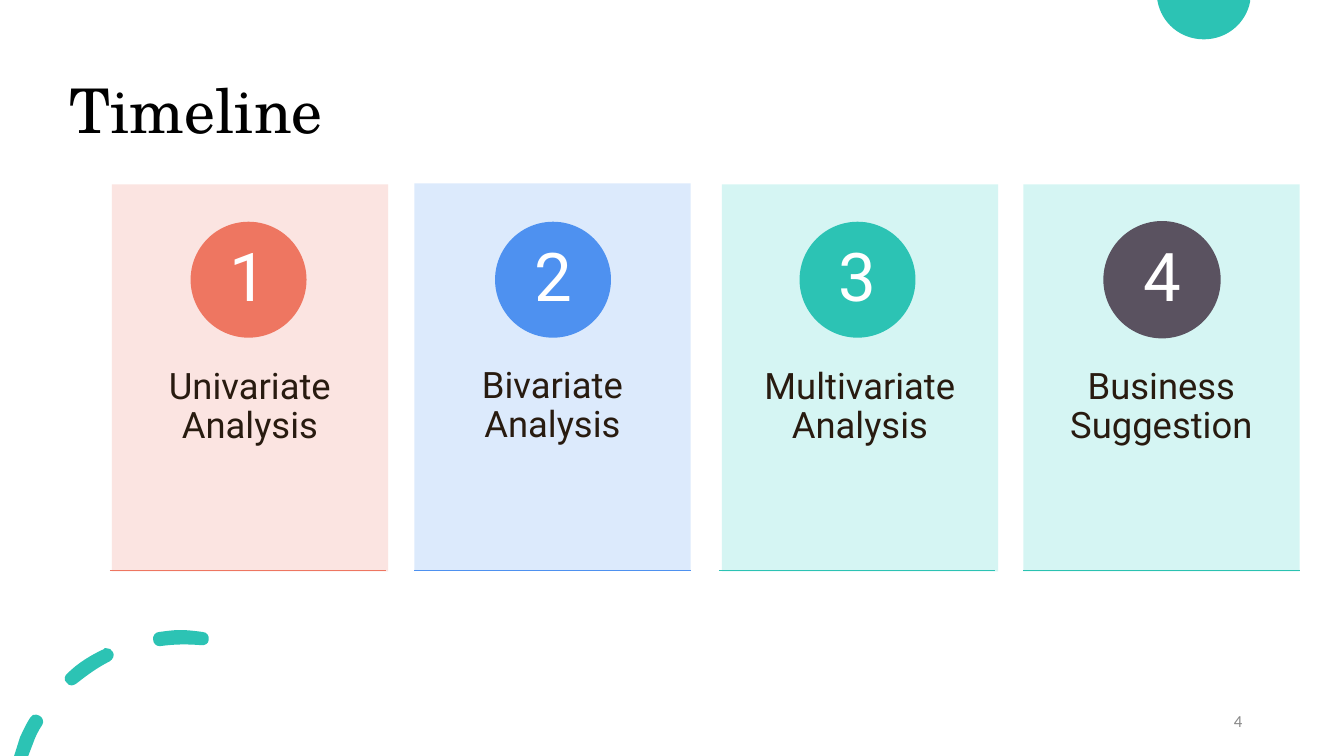
from lxml.etree import SubElement
from pptx import Presentation
from pptx.dml.color import RGBColor
from pptx.enum.shapes import MSO_CONNECTOR, MSO_SHAPE
from pptx.enum.text import MSO_ANCHOR, PP_ALIGN
from pptx.oxml.ns import qn
from pptx.util import Inches, Pt

TEAL = "2CC3B4"
CARD_STEP = 3.02
CARD_W, CARD_H = 2.74, 3.84
CIRCLE = 1.15

CARDS = [
    ("1", "Univariate Analysis", "FBE2DE", "EE7661", "EE7661", 0.02, 1.83),
    ("2", "Bivariate Analysis", "D9E8FC", "4E91F0", "4E91F0", 0, 1.82),
    ("3", "Multivariate Analysis", "D1F5F2", TEAL, TEAL, 0.03, 1.83),
    ("4", "Business Suggestion", "D1F5F2", "5A5260", "2AC2B1", 0, 1.83),
]

DOT = [[(0, 0)], [(0.92, 0)], [(0.92, 0.01)],
       [(0.88, 0.23), (0.69, 0.39), (0.46, 0.39)],
       [(0.23, 0.39), (0.04, 0.23), (0, 0.01)]]

DASHES = [
    [[(0.22, 0.84)], [(0.2, 0.83), (0.17, 0.85), (0.16, 0.87)],
     [(0.12, 0.93), (0.09, 1), (0.06, 1.06)], [(0, 1.25)], [(0.14, 1.25)],
     [(0.19, 1.12)], [(0.21, 1.06), (0.24, 1), (0.28, 0.94)],
     [(0.3, 0.91), (0.28, 0.86), (0.25, 0.85)],
     [(0.24, 0.84), (0.23, 0.84), (0.22, 0.84)]],
    [[(0.91, 0.18)], [(0.9, 0.18), (0.89, 0.18), (0.89, 0.19)],
     [(0.76, 0.25), (0.63, 0.33), (0.53, 0.43)],
     [(0.5, 0.45), (0.49, 0.5), (0.52, 0.52)],
     [(0.53, 0.54), (0.55, 0.55), (0.57, 0.55)],
     [(0.59, 0.55), (0.6, 0.54), (0.62, 0.53)],
     [(0.72, 0.45), (0.83, 0.37), (0.95, 0.31)],
     [(0.98, 0.29), (1, 0.25), (0.98, 0.22)],
     [(0.97, 0.19), (0.94, 0.18), (0.91, 0.18)]],
    [[(1.65, 0)], [(1.58, 0), (1.51, 0.01), (1.44, 0.02)],
     [(1.4, 0.02), (1.37, 0.06), (1.38, 0.1)],
     [(1.38, 0.13), (1.41, 0.16), (1.44, 0.16)],
     [(1.45, 0.16), (1.45, 0.16), (1.45, 0.16)],
     [(1.59, 0.14), (1.72, 0.14), (1.85, 0.15)],
     [(1.89, 0.16), (1.93, 0.13), (1.93, 0.1)],
     [(1.94, 0.06), (1.91, 0.02), (1.87, 0.02)],
     [(1.8, 0.01), (1.72, 0), (1.65, 0)]],
]


def rgb(color):
    return RGBColor.from_string(color)


def paint(sp, color, alpha=None):
    sp.shadow.inherit = False
    sp.fill.solid()
    sp.fill.fore_color.rgb = rgb(color)
    sp.line.fill.background()
    if alpha:
        clr = sp.fill._xPr.find(qn("a:solidFill"))[0]
        SubElement(clr, qn("a:alpha"), val=str(alpha * 1000))


def add_text(shapes, box, text, font, size, color, align=PP_ALIGN.LEFT,
             anchor=MSO_ANCHOR.MIDDLE, inset=(0.1, 0.05), spacing=0.9):
    tf = shapes.add_textbox(*map(Inches, box)).text_frame
    tf.word_wrap = True
    tf.vertical_anchor = anchor
    tf.margin_left = tf.margin_right = Inches(inset[0])
    tf.margin_top = tf.margin_bottom = Inches(inset[1])
    p = tf.paragraphs[0]
    p.alignment = align
    p.line_spacing = spacing
    r = p.add_run()
    r.text = text
    r.font.name = font
    r.font.size = Pt(size)
    r.font.color.rgb = rgb(color)


def bend(sp, outlines):
    geometry = next(sp._element.iter(qn("a:path")))
    lines = iter(geometry.findall(qn("a:lnTo")))
    for outline in outlines:
        for segment in outline[1:]:
            nodes = [next(lines) for _ in segment]
            if len(nodes) == 3:
                curve = SubElement(geometry, qn("a:cubicBezTo"))
                nodes[0].addprevious(curve)
                for node in nodes:
                    curve.append(node[0])
                    geometry.remove(node)


def add_outline(shapes, left, top, outlines, color):
    builder = None
    for outline in outlines:
        points = [(Inches(left + x), Inches(top + y))
                  for segment in outline for x, y in segment]
        if builder is None:
            builder = shapes.build_freeform(*points[0], scale=1.0)
        else:
            builder.move_to(*points[0])
        builder.add_line_segments(points[1:], close=True)
    sp = builder.convert_to_shape()
    bend(sp, outlines)
    paint(sp, color)


def add_card(shapes, left, card):
    number, label, tint, accent, rule, shift, top = card
    group = shapes.add_group_shape().shapes
    box_left = left + shift
    sp = group.add_shape(MSO_SHAPE.RECTANGLE, Inches(box_left), Inches(top),
                         Inches(CARD_W), Inches(CARD_H))
    paint(sp, tint, 90)
    add_text(group, (box_left, top + 1.46, CARD_W, 2.31), label, "Roboto", 26,
             "281B10", PP_ALIGN.CENTER, MSO_ANCHOR.TOP, (0.21, 0.36))

    x, y = left + 0.8, 2.2
    sp = group.add_shape(MSO_SHAPE.OVAL, Inches(x), Inches(y),
                         Inches(CIRCLE), Inches(CIRCLE))
    paint(sp, accent)
    if accent != rule:
        sp.line.color.rgb = rgb(accent)
        sp.line.width = Pt(1)
    add_text(group, (x + 0.17, y + 0.17, 0.81, 0.81), number, "Roboto", 48,
             "FFFFFF", PP_ALIGN.CENTER, inset=(0.09, 0.01))

    line = group.add_connector(MSO_CONNECTOR.STRAIGHT, Inches(left), Inches(5.66),
                               Inches(left + CARD_W), Inches(5.66))
    line.line.color.rgb = rgb(rule)
    line.line.width = Pt(1)
    SubElement(line._element.spPr, qn("a:effectLst"))


def add_timeline(shapes, left):
    for i, card in enumerate(CARDS):
        add_card(shapes, left + i * CARD_STEP, card)


def main():
    prs = Presentation()
    prs.slide_width = Inches(13.33)
    prs.slide_height = Inches(7.5)
    shapes = prs.slides.add_slide(prs.slide_layouts[6]).shapes
    add_outline(shapes, 11.48, 0, [DOT], TEAL)
    add_outline(shapes, 0.14, 6.25, DASHES, TEAL)
    add_text(shapes, (0.59, 0.4, 11.5, 1.45), "Timeline", "TeX Gyre Schola",
             44, "000000")
    add_timeline(shapes, 1.09)
    add_text(shapes, (9.42, 6.95, 3, 0.4), "4", "Calibri", 12, "888888",
             PP_ALIGN.RIGHT, spacing=1.0)
    prs.save("out.pptx")


if __name__ == "__main__":
    main()
